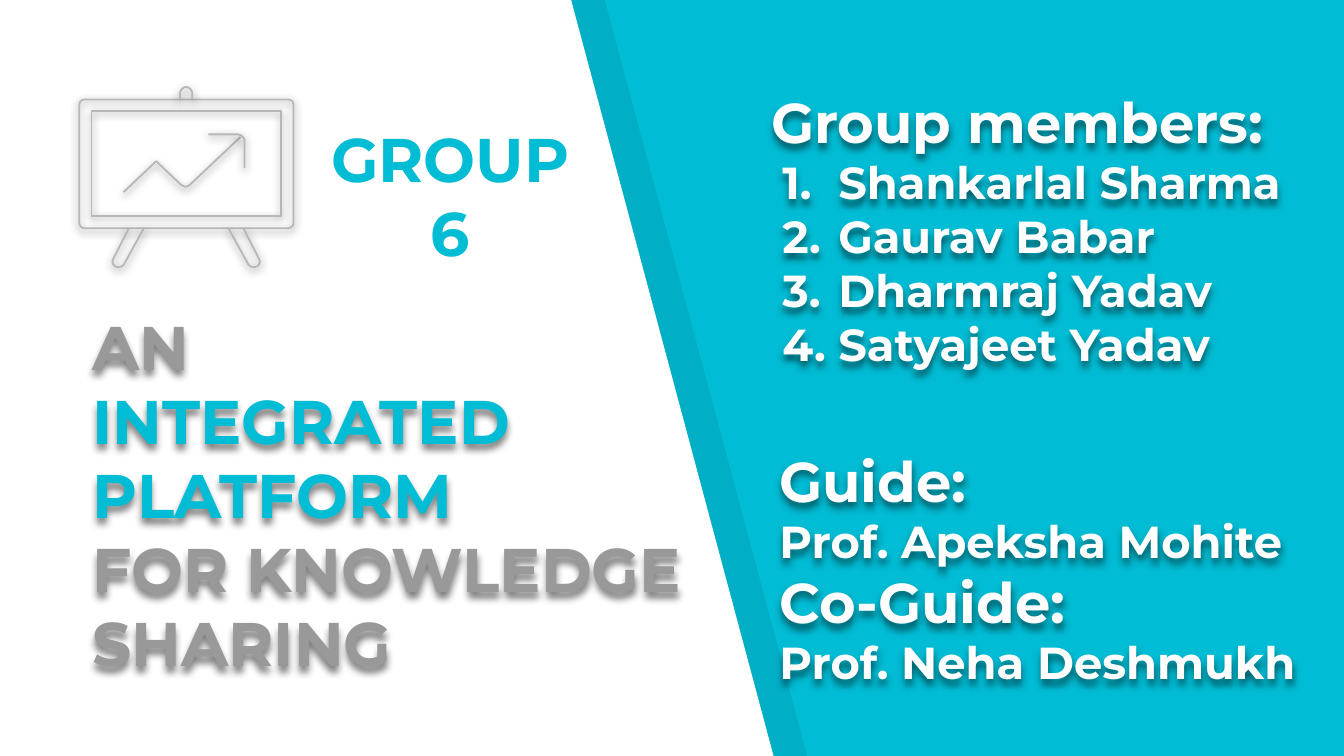
from lxml.etree import SubElement
from pptx import Presentation
from pptx.dml.color import RGBColor
from pptx.enum.shapes import MSO_SHAPE
from pptx.enum.text import MSO_ANCHOR, PP_ALIGN
from pptx.oxml.ns import qn
from pptx.util import Pt

# Content
FONT = "Montserrat"
TEAL, WHITE, GRAY, LINE, BLACK = "00BCD4", "FFFFFF", "999999", "B7B7B7", "000000"
LARGE, HEADING, BODY = 33, 30, 24

# Each paragraph: text, size, colour, numbered
TITLE = [
    ("AN", LARGE, GRAY, False),
    ("INTEGRATED PLATFORM", LARGE, TEAL, False),
    ("FOR KNOWLEDGE SHARING", LARGE, GRAY, False),
]
GROUP = [("GROUP", LARGE, TEAL, False), ("6", LARGE, TEAL, False)]
NAMES = ["Shankarlal Sharma", "Gaurav Babar", "Dharmraj Yadav", "Satyajeet Yadav"]
MEMBERS = [("Group members:", HEADING, WHITE, False)]
MEMBERS += [(name, BODY, WHITE, True) for name in NAMES]
GUIDES = [
    ("Guide:", HEADING, WHITE, False),
    ("Prof. Apeksha Mohite", BODY, WHITE, False),
    ("Co-Guide:", HEADING, WHITE, False),
    ("Prof. Neha Deshmukh", BODY, WHITE, False),
]

# Outlines, in points
PANEL = [(0, -0.7), (-0.7, 406), (414.7, 406), (306, 0)]
PANEL_STEP = 18
ICON_CENTER = 99.72
KNOB = [(103, 53.3), (103, 49.7), (102.2, 47.9), (100.8, 46.9), (99.7, 46.6),
        (98.6, 46.9), (97.2, 47.9), (96.4, 49.7), (96.4, 53.3)]
LEG = [(69, 122.4), (60.6, 138.8), (60.2, 140.2), (60.6, 141.6), (61.6, 142.7),
       (63.2, 143.2), (65, 142.9), (66.4, 141.7), (77, 122.4)]
TREND = [(128.9, 73.4), (101.6, 99.2), (100.4, 99.9), (99, 100), (97.2, 99.2),
         (83.7, 86.4), (66.2, 103)]
ARROW_TIP = [(111.6, 72), (127.6, 72), (129.4, 72.6), (130.6, 73.8),
             (131, 75), (131, 90)]


def color(value):
    return RGBColor.from_string(value)


def add_shadow(shape, blur, distance):
    shape.shadow.inherit = False
    effects = shape._element.spPr.find(qn("a:effectLst"))
    shadow = SubElement(effects, qn("a:outerShdw"), blurRad=str(Pt(blur)),
                        dist=str(Pt(distance)), dir="5400000", algn="bl",
                        rotWithShape="0")
    tint = SubElement(shadow, qn("a:srgbClr"), val=BLACK)
    SubElement(tint, qn("a:alpha"), val="50000")


def add_outline(points, close=False):
    corners = [(Pt(x), Pt(y)) for x, y in points]
    builder = slide.shapes.build_freeform(*corners[0])
    builder.add_line_segments(corners[1:], close=close)
    return builder.convert_to_shape()


def add_panel(offset, fill, opacity=100):
    shape = add_outline([(x + offset, y) for x, y in PANEL], close=True)
    shape.shadow.inherit = False
    shape.fill.solid()
    shape.fill.fore_color.rgb = color(fill)
    shape.line.fill.background()
    if opacity < 100:
        tint = shape._element.spPr.find(qn("a:solidFill"))[0]
        SubElement(tint, qn("a:alpha"), val=str(opacity * 1000))


def style_icon(shape):
    shape.fill.background()
    shape.line.color.rgb = color(LINE)
    shape.line.width = Pt(0.96)
    add_shadow(shape, 4.5, 1.5)


def add_number(paragraph):
    properties = paragraph._p.get_or_add_pPr()
    properties.set("marL", str(Pt(36)))
    properties.set("indent", str(Pt(-30)))
    bullet_color = SubElement(properties, qn("a:buClr"))
    SubElement(bullet_color, qn("a:srgbClr"), val=WHITE)
    SubElement(properties, qn("a:buFont"), typeface=FONT)
    SubElement(properties, qn("a:buAutoNum"), type="arabicPeriod")


def add_text(box, paragraphs, anchor, align=PP_ALIGN.LEFT, shadow=True, bottom=7.2):
    shape = slide.shapes.add_textbox(*map(Pt, box))
    frame = shape.text_frame
    frame.word_wrap = True
    frame.vertical_anchor = anchor
    frame.margin_left = frame.margin_right = frame.margin_top = Pt(7.2)
    frame.margin_bottom = Pt(bottom)
    for index, (text, size, text_color, numbered) in enumerate(paragraphs):
        paragraph = frame.add_paragraph() if index else frame.paragraphs[0]
        paragraph.alignment = align
        if numbered:
            add_number(paragraph)
        run = paragraph.add_run()
        run.text = text
        run.font.name = FONT
        run.font.size = Pt(size)
        run.font.bold = True
        run.font.color.rgb = color(text_color)
    if shadow:
        add_shadow(shape, 4, 3)


presentation = Presentation()
presentation.slide_width, presentation.slide_height = Pt(720), Pt(405)
slide = presentation.slides.add_slide(presentation.slide_layouts[6])

# Background and slanted panels
slide.background.fill.solid()
slide.background.fill.fore_color.rgb = color(TEAL)
add_panel(PANEL_STEP, BLACK, opacity=7)
add_panel(0, WHITE)

# Title
add_text((42.5, 112.3, 332.6, 258.5), TITLE, MSO_ANCHOR.BOTTOM)

# Presentation board icon
board = slide.shapes.add_shape(MSO_SHAPE.ROUNDED_RECTANGLE,
                               Pt(42.5), Pt(53.3), Pt(114.8), Pt(69))
board.adjustments[0] = 0.04
screen = slide.shapes.add_shape(MSO_SHAPE.RECTANGLE,
                                Pt(49), Pt(59.3), Pt(101.5), Pt(56.4))
mirrored_leg = [(2 * ICON_CENTER - x, y) for x, y in LEG]
strokes = [add_outline(points) for points in (KNOB, LEG, mirrored_leg, TREND, ARROW_TIP)]
for part in [board, screen, *strokes]:
    style_icon(part)

# People and group number
add_text((406, 18.7, 296.6, 208), MEMBERS, MSO_ANCHOR.MIDDLE)
add_text((410.4, 214.6, 296.6, 208), GUIDES, MSO_ANCHOR.MIDDLE, bottom=36.5)
add_text((169.2, 57.6, 144, 74.9), GROUP, MSO_ANCHOR.TOP, PP_ALIGN.CENTER, shadow=False)

presentation.save("out.pptx")
